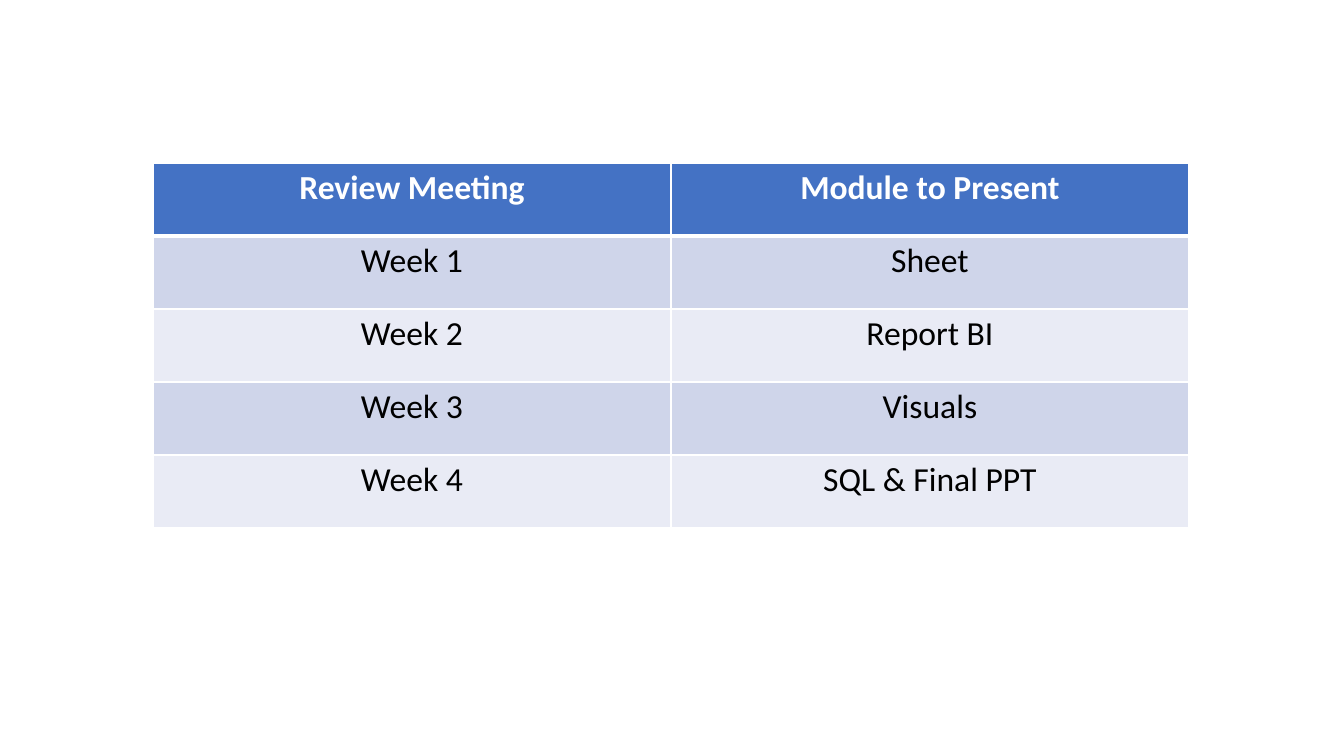
import dataclasses

import pptx
import pptx.dml.color
import pptx.enum.text
import pptx.oxml
import pptx.oxml.ns
import pptx.table
import pptx.util

SLIDE_WIDTH, SLIDE_HEIGHT = 1344, 756
EMU_PER_PX = 12192000 / SLIDE_WIDTH

TABLE_LEFT, TABLE_TOP = 153, 163
COLUMN_WIDTH, ROW_HEIGHT = 518, 73
THIN, THICK = 1, 3
WHITE = "FFFFFF"


@dataclasses.dataclass(frozen=True)
class RowStyle:
    fill: str
    text: str
    bold: bool = False


HEADER = RowStyle("4472C4", WHITE, bold=True)
BANDS = (RowStyle("CFD5EA", "000000"), RowStyle("E9EBF5", "000000"))

SCHEDULE = (
    ("Review Meeting", "Module to Present"),
    ("Week 1", "Sheet"),
    ("Week 2", "Report BI"),
    ("Week 3", "Visuals"),
    ("Week 4", "SQL & Final PPT"),
)


def px(length: int) -> pptx.util.Emu:
    return pptx.util.Emu(round(length * EMU_PER_PX))


def color(value: str) -> pptx.dml.color.RGBColor:
    return pptx.dml.color.RGBColor.from_string(value)


def add_border(cell: pptx.table._Cell, side: str, points: int) -> None:
    line = pptx.oxml.parse_xml(
        f'<a:ln{side} {pptx.oxml.ns.nsdecls("a")} w="{pptx.util.Pt(points)}">'
        f'<a:solidFill><a:srgbClr val="{WHITE}"/></a:solidFill></a:ln{side}>'
    )
    cell._tc.get_or_add_tcPr().append(line)


def format_cell(cell: pptx.table._Cell, text: str, style: RowStyle,
                top: int, bottom: int) -> None:
    # Borders come before the fill in the cell properties
    for side, points in (("L", THIN), ("R", THIN), ("T", top), ("B", bottom)):
        add_border(cell, side, points)
    cell.fill.solid()
    cell.fill.fore_color.rgb = color(style.fill)

    # Centred text
    cell.text_frame.text = text
    paragraph = cell.text_frame.paragraphs[0]
    paragraph.alignment = pptx.enum.text.PP_ALIGN.CENTER
    font = paragraph.runs[0].font
    font.name = "Calibri"
    font.size = pptx.util.Pt(24)
    font.bold = style.bold
    font.color.rgb = color(style.text)


def main() -> None:
    presentation = pptx.Presentation()
    presentation.slide_width = px(SLIDE_WIDTH)
    presentation.slide_height = px(SLIDE_HEIGHT)
    slide = presentation.slides.add_slide(presentation.slide_layouts[6])

    # Review schedule
    row_count, column_count = len(SCHEDULE), len(SCHEDULE[0])
    table = slide.shapes.add_table(
        row_count, column_count, px(TABLE_LEFT), px(TABLE_TOP),
        px(column_count * COLUMN_WIDTH), px(row_count * ROW_HEIGHT),
    ).table
    for column in table.columns:
        column.width = px(COLUMN_WIDTH)

    # Header above alternating bands, parted by a thick line
    for row_index, texts in enumerate(SCHEDULE):
        table.rows[row_index].height = px(ROW_HEIGHT)
        style = HEADER if row_index == 0 else BANDS[(row_index - 1) % len(BANDS)]
        top = THICK if row_index == 1 else THIN
        bottom = THICK if row_index == 0 else THIN
        for column_index, text in enumerate(texts):
            format_cell(table.cell(row_index, column_index), text, style, top, bottom)

    presentation.save("out.pptx")


if __name__ == "__main__":
    main()
